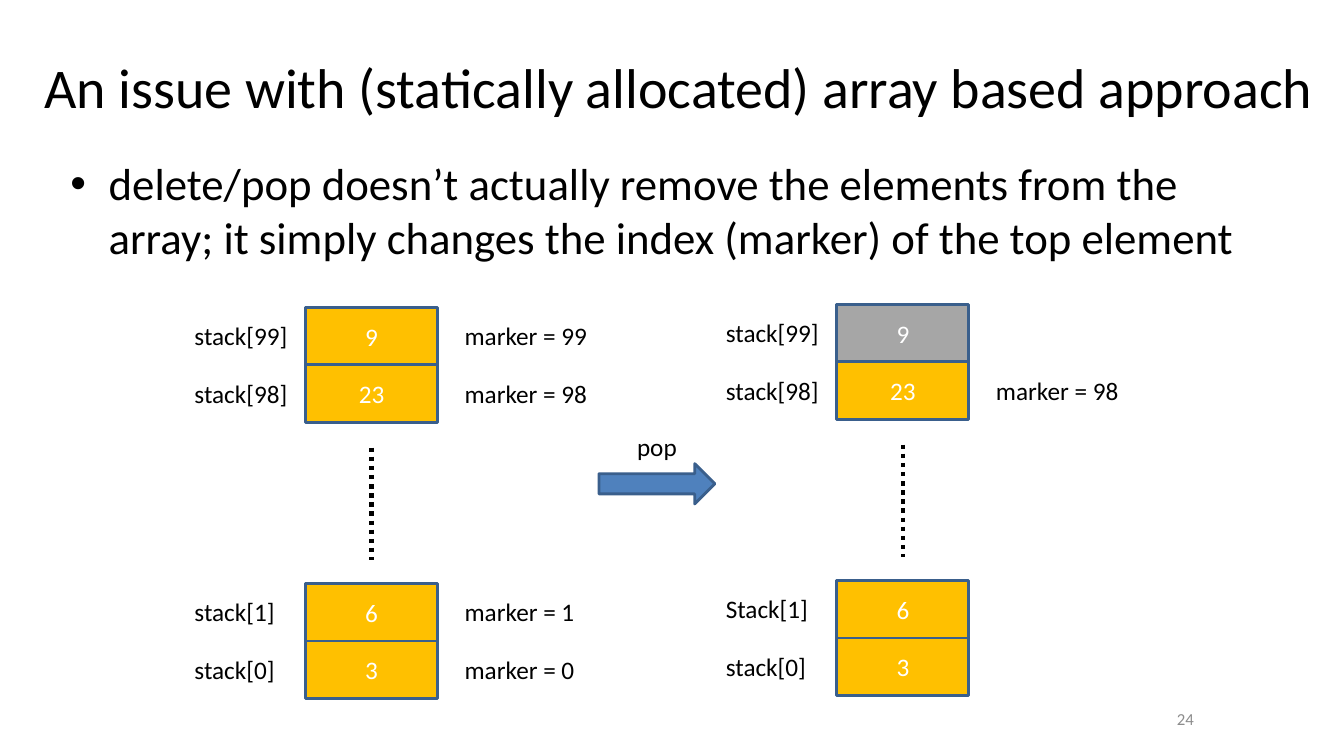
from dataclasses import dataclass

from lxml.etree import SubElement
from pptx import Presentation
from pptx.dml.color import RGBColor
from pptx.enum.dml import MSO_LINE
from pptx.enum.shapes import MSO_CONNECTOR, MSO_SHAPE
from pptx.enum.text import MSO_ANCHOR, MSO_AUTO_SIZE, PP_ALIGN
from pptx.oxml.ns import qn
from pptx.shapes.autoshape import Shape
from pptx.slide import Slide
from pptx.text.text import TextFrame
from pptx.util import Inches, Pt

COLORS = {
    "text": "000000",
    "cell_text": "FFFFFF",
    "page": "8C8C8C",
    "live": "FFC000",
    "popped": "A6A6A6",
    "arrow": "4F81BD",
    "outline": "3A5F8C",
}
FONT = "Calibri"
CELL_W, CELL_H = 1.31, 0.57
TEXT_H = 0.4


@dataclass(frozen=True)
class Cell:
    label: str
    value: str
    top: float  # offset from the top of the stack
    marker: str = ""
    fill: str = "live"


@dataclass(frozen=True)
class Stack:
    left: float
    top: float
    cells: tuple[Cell, ...]


STACKS = (
    Stack(3.03, 3.05, (
        Cell("stack[99]", "9", 0, "marker = 99"),
        Cell("stack[98]", "23", CELL_H, "marker = 98"),
        Cell("stack[1]", "6", 2.74, "marker = 1"),
        Cell("stack[0]", "3", 2.74 + CELL_H, "marker = 0"),
    )),
    Stack(8.3, 3.02, (
        Cell("stack[99]", "9", 0, fill="popped"),
        Cell("stack[98]", "23", CELL_H, "marker = 98"),
        Cell("Stack[1]", "6", 2.74),
        Cell("stack[0]", "3", 2.74 + CELL_H),
    )),
)
TEXT_WIDTHS = {"stack[9]": 1.02, "stack[99]": 1.15, "marker = 9": 1.32, "marker = 99": 1.43}
WIDTH_BY_LENGTH = {len(sample): width for sample, width in TEXT_WIDTHS.items()}


def rgb(name: str) -> RGBColor:
    return RGBColor.from_string(COLORS[name])


def write(tf: TextFrame, text: str, size: float, color: str = "text",
          align: PP_ALIGN = PP_ALIGN.LEFT) -> None:
    tf.text = text
    p = tf.paragraphs[0]
    p.alignment = align
    font = p.runs[0].font
    font.name, font.size, font.color.rgb = FONT, Pt(size), rgb(color)


def add_text(s: Slide, left: float, top: float, width: float, height: float, text: str,
             size: float = 18, color: str = "text", align: PP_ALIGN = PP_ALIGN.LEFT) -> TextFrame:
    tf = s.shapes.add_textbox(*map(Inches, (left, top, width, height))).text_frame
    tf.word_wrap = True
    write(tf, text, size, color, align)
    return tf


def add_label(s: Slide, left: float, top: float, width: float, text: str) -> None:
    """Add a one-line text that grows with its wording."""
    tf = add_text(s, left, top, width, TEXT_H, text)
    tf.word_wrap = False
    tf.auto_size = MSO_AUTO_SIZE.SHAPE_TO_FIT_TEXT


def add_block(s: Slide, kind: MSO_SHAPE, left: float, top: float, width: float,
              height: float, fill: str) -> Shape:
    sp = s.shapes.add_shape(kind, *map(Inches, (left, top, width, height)))
    sp.shadow.inherit = False
    sp.fill.solid()
    sp.fill.fore_color.rgb = rgb(fill)
    sp.line.color.rgb = rgb("outline")
    sp.line.width = Pt(2)
    return sp


def add_dots(s: Slide, x: float, top: float, bottom: float) -> None:
    line = s.shapes.add_connector(MSO_CONNECTOR.STRAIGHT, *map(Inches, (x, top, x, bottom)))
    line.line.color.rgb = rgb("text")
    line.line.width = Pt(3.25)
    line.line.dash_style = MSO_LINE.ROUND_DOT
    SubElement(line._element.spPr, qn("a:effectLst"))


def add_stack(s: Slide, stack: Stack) -> None:
    for cell in stack.cells:
        top = stack.top + cell.top
        sp = add_block(s, MSO_SHAPE.RECTANGLE, stack.left, top, CELL_W, CELL_H, cell.fill)
        sp.text_frame.vertical_anchor = MSO_ANCHOR.MIDDLE
        write(sp.text_frame, cell.value, 18, "cell_text", PP_ALIGN.CENTER)
        for text, offset in ((cell.label, -1.2), (cell.marker, 1.48)):
            if text:
                add_label(s, stack.left + offset, top + 0.08, WIDTH_BY_LENGTH[len(text)], text)
    add_dots(s, stack.left + CELL_W / 2, stack.top + 1.39, stack.top + 2.51)


def add_bullet(tf: TextFrame) -> None:
    """Give the first paragraph a hanging bullet and space before it."""
    p = tf.paragraphs[0]
    p.space_before = Pt(6.4)
    pPr = p._p.get_or_add_pPr()
    pPr.set("marL", str(Inches(0.38)))
    pPr.set("indent", str(Inches(-0.38)))
    SubElement(pPr, qn("a:buFont"), typeface="Arial")
    SubElement(pPr, qn("a:buChar"), char="•")


def main() -> None:
    prs = Presentation()
    prs.slide_width, prs.slide_height = Inches(13.33), Inches(7.5)
    s = prs.slides.add_slide(prs.slide_layouts[5])

    title = s.shapes.title
    title.left, title.top, title.width, title.height = map(Inches, (0.34, 0.23, 12.84, 1.25))
    title.text_frame.vertical_anchor = MSO_ANCHOR.MIDDLE
    write(title.text_frame, "An issue with (statically allocated) array based approach", 40,
          align=PP_ALIGN.LEFT)

    add_bullet(add_text(
        s, 0.6, 1.5, 12, 4.95,
        "delete/pop doesn’t actually remove the elements from the array; "
        "it simply changes the index (marker) of the top element", 32))
    page = add_text(s, 8.83, 6.93, 3.11, TEXT_H, "24", 12, "page", PP_ALIGN.RIGHT)
    page.vertical_anchor = MSO_ANCHOR.MIDDLE

    for stack in STACKS:
        add_stack(s, stack)
    add_block(s, MSO_SHAPE.RIGHT_ARROW, 5.94, 4.6, 1.15, 0.4, "arrow")
    add_label(s, 6.22, 4.23, 0.6, "pop")
    prs.save("out.pptx")


if __name__ == "__main__":
    main()
